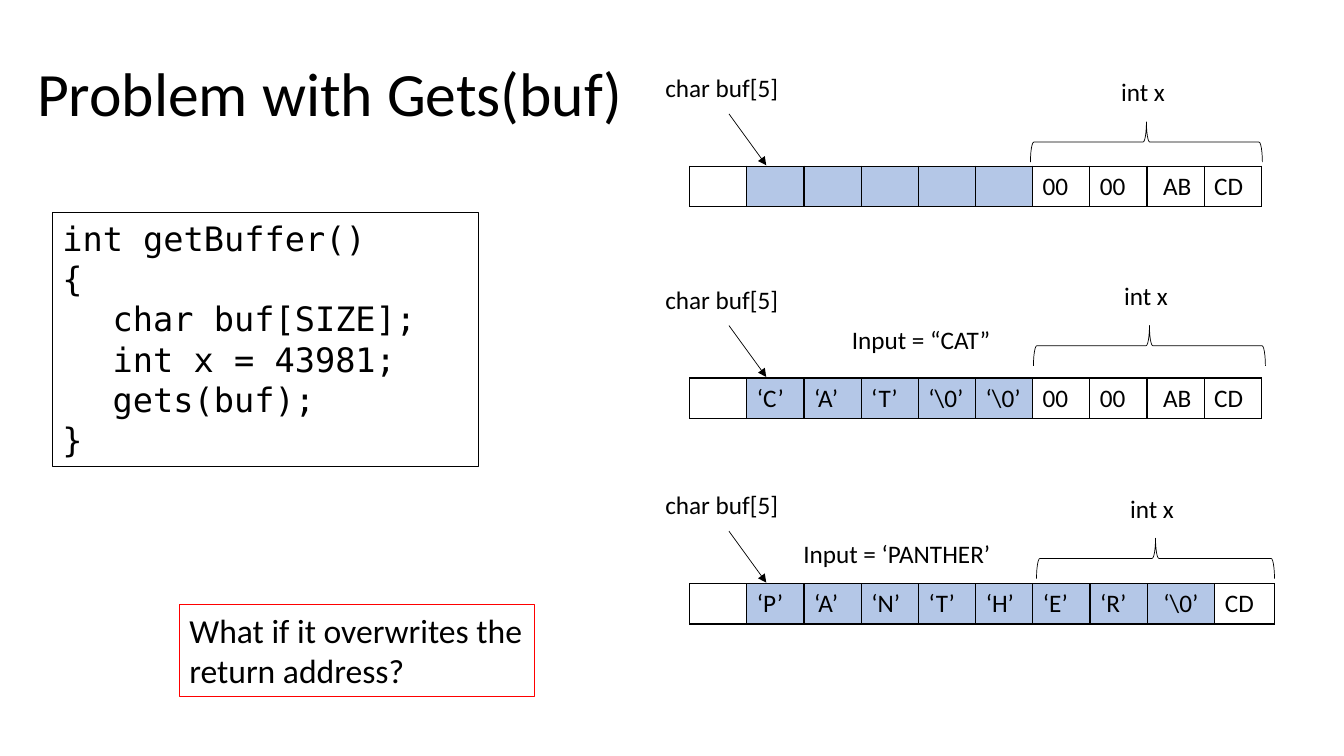
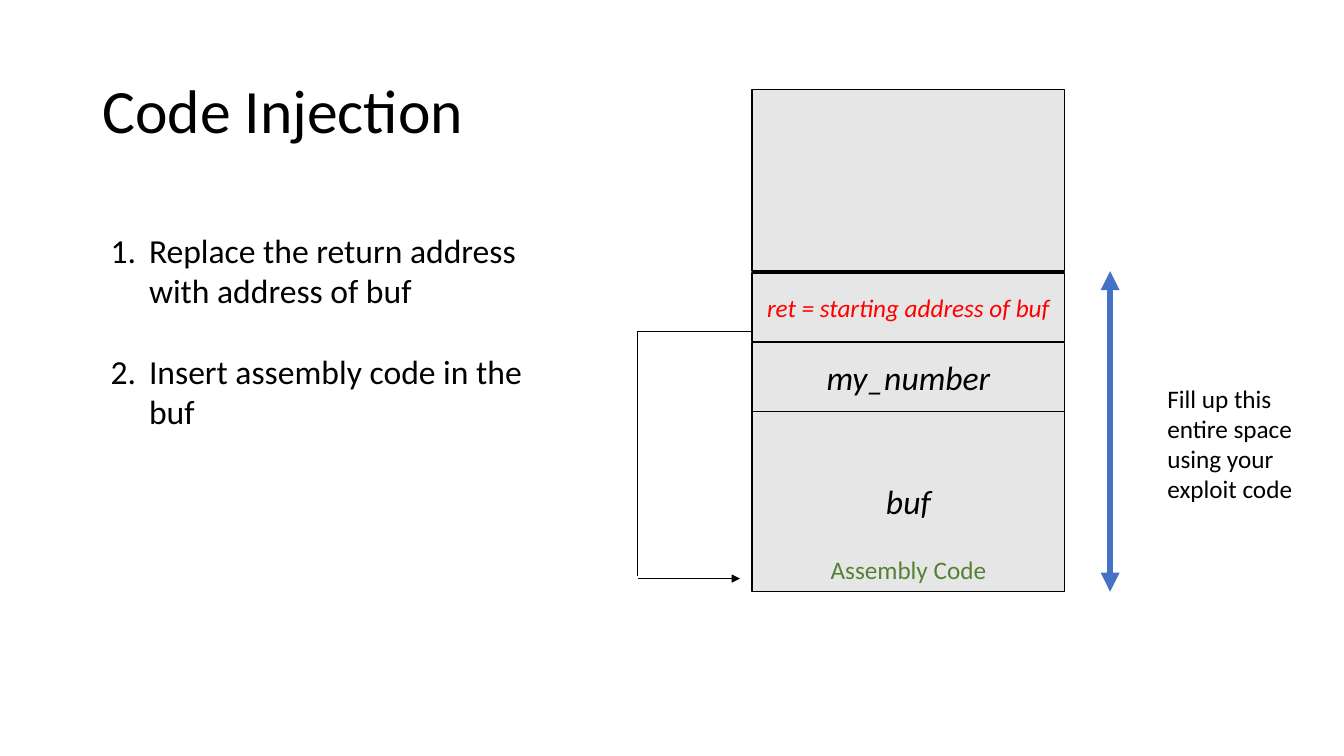
from dataclasses import dataclass

from lxml.etree import SubElement
from pptx import Presentation
from pptx.dml.color import RGBColor
from pptx.enum.shapes import MSO_CONNECTOR as Connector, MSO_SHAPE as Preset
from pptx.enum.text import MSO_ANCHOR as Anchor, PP_ALIGN as Align
from pptx.oxml import parse_xml
from pptx.oxml.ns import nsdecls, qn
from pptx.shapes.autoshape import Shape
from pptx.slide import Slide
from pptx.table import _Cell as Cell
from pptx.util import Emu, Pt

PX = 9144
BLACK = RGBColor(0x00, 0x00, 0x00)
RED = RGBColor(0xFF, 0x00, 0x00)
GREEN = RGBColor(0x54, 0x82, 0x35)
BLUE = RGBColor(0x44, 0x72, 0xC4)
BUFFER_BLUE = RGBColor(0xB4, 0xC7, 0xE7)
STACK_GREY = RGBColor(0xE7, 0xE6, 0xE6)
BODY_FONT = "Calibri"
CODE_FONT = "DejaVu Sans Mono"


@dataclass(frozen=True)
class Box:
    left: int
    top: int
    width: int
    height: int

    def emu(self) -> tuple[Emu, ...]:
        return tuple(px(n) for n in (self.left, self.top, self.width, self.height))


@dataclass(frozen=True)
class TextStyle:
    size: int = 18
    color: RGBColor = BLACK
    font: str = BODY_FONT
    italic: bool = False
    align: Align = Align.LEFT
    anchor: Anchor = Anchor.TOP
    line_spacing: float = 1.0


LABEL = TextStyle()
TITLE = TextStyle(44, anchor=Anchor.MIDDLE, line_spacing=0.9)
BODY = TextStyle(24)
CODE = TextStyle(24, font=CODE_FONT)
ASSEMBLY = TextStyle(color=GREEN, align=Align.CENTER)
STACK = TextStyle(24, italic=True, align=Align.CENTER, anchor=Anchor.MIDDLE)
RETURN = TextStyle(18, RED, italic=True, align=Align.CENTER, anchor=Anchor.MIDDLE)


@dataclass(frozen=True)
class Memory:
    top: int
    width: int
    last_widths: tuple[int, ...]
    cells: tuple[str, ...]
    buffer_end: int
    brace: Box
    input_text: str = ""
    input_left: int = 0
    input_top: int = 0


@dataclass(frozen=True)
class StackFrame:
    top: int
    height: int
    text: str
    style: TextStyle


MEMORIES = (
    Memory(165, 567, (), ("", "", "", "", "", "", "00", "00", "AB", "CD"), 5,
           Box(1022, 121, 230, 40)),
    Memory(375, 567, (), ("", "‘C’", "‘A’", "‘T’", "‘\\0’", "‘\\0’", "00", "00", "AB", "CD"), 5,
           Box(1025, 323, 230, 40), "Input = “CAT”", 835, 317),
    Memory(579, 580, (67, 59),
           ("", "‘P’", "‘A’", "‘N’", "‘T’", "‘H’", "‘E’", "‘R’", "‘\\0’", "CD"), 8,
           Box(1028, 534, 236, 40), "Input = ‘PANTHER’", 787, 529),
)
SHIFTED_COLUMN = 8

STACK_FRAMES = (
    StackFrame(407, 180, "buf", STACK),
    StackFrame(340, 68, "my_number", STACK),
    StackFrame(271, 68, "ret = starting address of buf", RETURN),
    StackFrame(89, 180, "", STACK),
)
STACK_LEFT, STACK_WIDTH = 746, 310

GET_BUFFER = "\n".join((
    "int getBuffer()",
    "{",
    "\tchar buf[SIZE];",
    "\tint x = 43981;",
    "\tgets(buf);",
    "}",
))


def px(length: float) -> Emu:
    return Emu(round(length * PX))


def format_text(frame, style: TextStyle) -> None:
    for paragraph in frame.paragraphs:
        paragraph.alignment = style.align
        paragraph.line_spacing = style.line_spacing
        for run in paragraph.runs:
            run.font.name = style.font
            run.font.size = Pt(style.size)
            run.font.italic = style.italic
            run.font.color.rgb = style.color


def add_text(slide: Slide, box: Box, text: str, style: TextStyle = LABEL) -> Shape:
    label = slide.shapes.add_textbox(*box.emu())
    fill_text(label, text, style)
    return label


def fill_text(shape: Shape, text: str, style: TextStyle) -> None:
    frame = shape.text_frame
    frame.word_wrap = True
    frame.vertical_anchor = style.anchor
    frame.text = text
    format_text(frame, style)


def add_outlined(slide: Slide, preset: Preset, box: Box, line: RGBColor, weight: float,
                 fill: RGBColor | None = None) -> Shape:
    shape = slide.shapes.add_shape(preset, *box.emu())
    shape.shadow.inherit = False
    shape.line.color.rgb = line
    shape.line.width = Pt(weight)
    if fill is None:
        shape.fill.background()
    else:
        shape.fill.solid()
        shape.fill.fore_color.rgb = fill
    return shape


def add_line(slide: Slide, start: tuple[int, int], end: tuple[int, int],
             color: RGBColor = BLACK, weight: float = 0.5, arrows: tuple[str, ...] = ()) -> None:
    line = slide.shapes.add_connector(Connector.STRAIGHT, *map(px, start + end))
    line.line.color.rgb = color
    line.line.width = Pt(weight)
    outline = line.line._get_or_add_ln()
    for arrow in arrows:
        SubElement(outline, qn(f"a:{arrow}"), type="triangle")
    SubElement(line._element.spPr, qn("a:effectLst"))


def add_borders(cell: Cell) -> None:
    properties = cell._tc.get_or_add_tcPr()
    for index, side in enumerate(("lnL", "lnR", "lnT", "lnB")):
        properties.insert(index, parse_xml(
            f'<a:{side} {nsdecls("a")} w="{Pt(1)}"><a:solidFill>'
            f'<a:srgbClr val="{BLACK}"/></a:solidFill></a:{side}>'))


def add_memory_table(slide: Slide, memory: Memory) -> None:
    count = len(memory.cells)
    plain_count = count - len(memory.last_widths)
    plain_width = (memory.width - sum(memory.last_widths)) / plain_count
    widths = (plain_width,) * plain_count + memory.last_widths
    box = Box(684, memory.top, memory.width, 40)
    table = slide.shapes.add_table(1, count, *box.emu()).table
    table.first_row = table.horz_banding = False
    for index, (text, width) in enumerate(zip(memory.cells, widths)):
        table.columns[index].width = px(width)
        cell = table.cell(0, index)
        cell.text = text
        format_text(cell.text_frame, LABEL)
        if index == SHIFTED_COLUMN:
            cell.margin_left = px(16)
        if 1 <= index <= memory.buffer_end:
            cell.fill.solid()
            cell.fill.fore_color.rgb = BUFFER_BLUE
        else:
            cell.fill.background()
        add_borders(cell)


def add_brace(slide: Slide, span: Box) -> None:
    center_x = span.left + span.width // 2
    center_y = span.top + span.height // 2
    upright = Box(center_x - span.height // 2, center_y - span.width // 2,
                  span.height, span.width)
    brace = add_outlined(slide, Preset.LEFT_BRACE, upright, BLACK, 0.5)
    brace.rotation = 90
    add_text(slide, Box(center_x - 35, span.top - 50, 101, 40), "int x")


def add_memory(slide: Slide, memory: Memory) -> None:
    add_memory_table(slide, memory)
    add_line(slide, (723, memory.top - 52), (760, memory.top - 1), arrows=("tailEnd",))
    add_text(slide, Box(650, memory.top - 98, 137, 40), "char buf[5]")
    if memory.input_text:
        add_text(slide, Box(memory.input_left, memory.input_top, 274, 40), memory.input_text)
    add_brace(slide, memory.brace)


def add_steps(slide: Slide, box: Box, steps: tuple[str, ...]) -> None:
    listing = add_text(slide, box, "\n".join(steps), BODY)
    for index, paragraph in enumerate(listing.text_frame.paragraphs):
        if index:
            paragraph.space_before = Pt(29)
        properties = paragraph._p.get_or_add_pPr()
        properties.set("marL", str(px(38)))
        properties.set("indent", str(px(-38)))
        SubElement(properties, qn("a:buFont"), typeface=BODY_FONT)
        SubElement(properties, qn("a:buAutoNum"), type="arabicPeriod")


def build_gets_slide(slide: Slide) -> None:
    add_text(slide, Box(27, 23, 624, 145), "Problem with Gets(buf)", TITLE)
    for memory in MEMORIES:
        add_memory(slide, memory)
    question = add_outlined(slide, Preset.RECTANGLE, Box(178, 600, 352, 91), RED, 0.75)
    fill_text(question, "What if it overwrites the return address?", BODY)
    code = add_outlined(slide, Preset.RECTANGLE, Box(52, 211, 423, 252), BLACK, 0.75)
    fill_text(code, GET_BUFFER, CODE)


def build_injection_slide(slide: Slide) -> None:
    add_text(slide, Box(92, 40, 1150, 145), "Code Injection", TITLE)
    for frame in STACK_FRAMES:
        box = Box(STACK_LEFT, frame.top, STACK_WIDTH, frame.height)
        region = add_outlined(slide, Preset.RECTANGLE, box, BLACK, 1, STACK_GREY)
        if frame.text:
            fill_text(region, frame.text, frame.style)
    add_line(slide, (633, 574), (734, 574), arrows=("tailEnd",))
    add_line(slide, (632, 329), (632, 571))
    add_line(slide, (632, 329), (STACK_LEFT, 329))
    add_text(slide, Box(STACK_LEFT, 545, STACK_WIDTH, 40), "Assembly Code", ASSEMBLY)
    add_line(slide, (1101, 269), (1101, 587), BLUE, 4.5, ("headEnd", "tailEnd"))
    add_text(slide, Box(1148, 375, 153, 131),
             "Fill up this entire space using your exploit code")
    add_steps(slide, Box(100, 223, 433, 212),
              ("Replace the return address with address of buf",
               "Insert assembly code in the buf"))


def main() -> None:
    deck = Presentation()
    deck.slide_width, deck.slide_height = px(1333), px(750)
    blank = deck.slide_layouts[6]
    for build in (build_gets_slide, build_injection_slide):
        build(deck.slides.add_slide(blank))
    deck.save("out.pptx")


if __name__ == "__main__":
    main()
